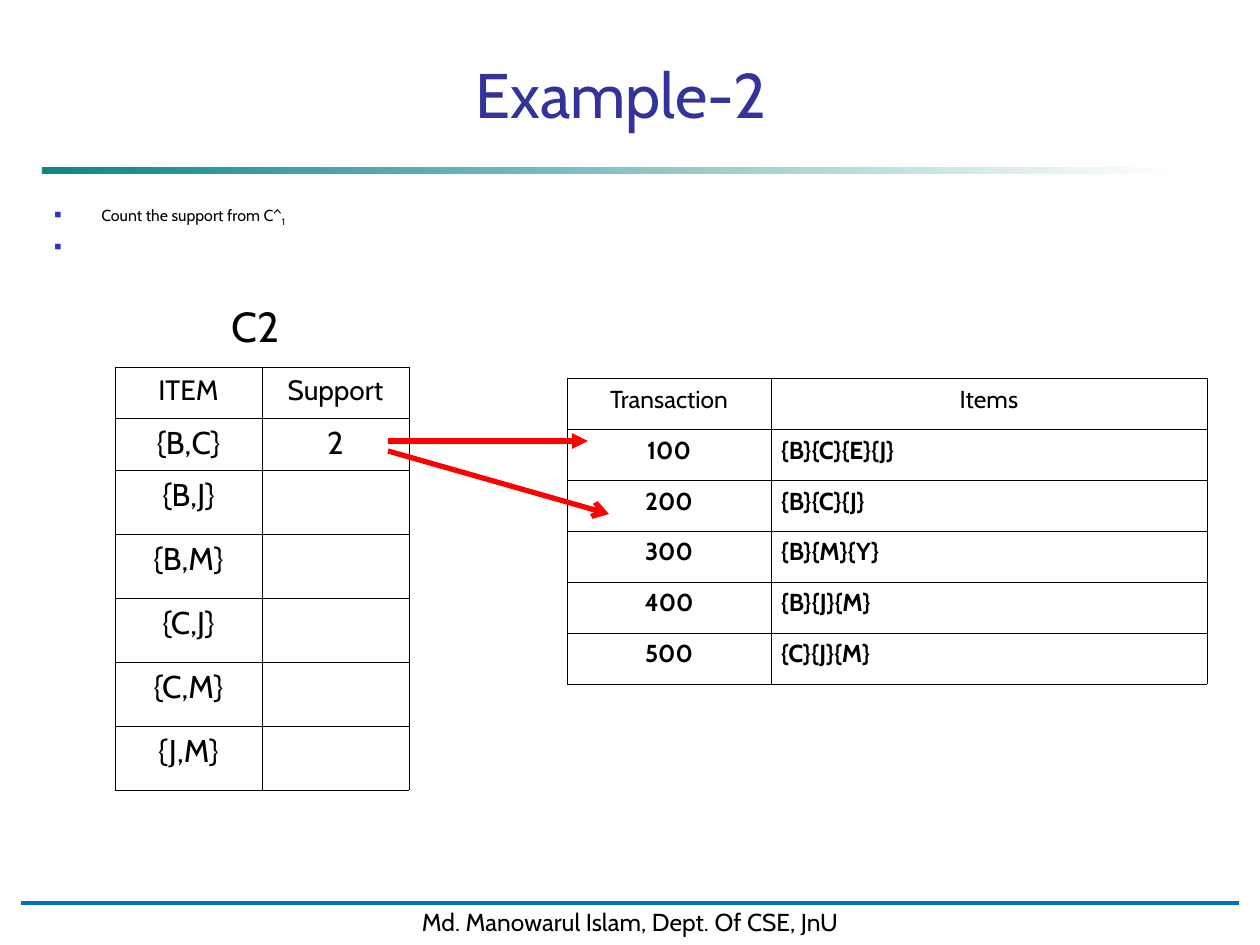
from lxml import etree
from pptx import Presentation
from pptx.dml.color import RGBColor
from pptx.enum.shapes import MSO_CONNECTOR, MSO_SHAPE
from pptx.enum.text import MSO_ANCHOR, PP_ALIGN
from pptx.oxml.ns import qn
from pptx.util import Pt

RECT = MSO_SHAPE.RECTANGLE
LINE = MSO_CONNECTOR.STRAIGHT
LEFT, CENTER = PP_ALIGN.LEFT, PP_ALIGN.CENTER
BOTTOM = MSO_ANCHOR.BOTTOM
FONT = "Cabin"
BLACK, WHITE, RED = "000000", "FFFFFF", "FF0000"
PAIRS = ["{B,J}", "{B,M}", "{C,J}", "{C,M}", "{J,M}"]
BASKETS = ["{B}{C}{E}{J}", "{B}{C}{J}", "{B}{M}{Y}", "{B}{J}{M}", "{C}{J}{M}"]


def px(n):
    """Turn px, 126 to the inch, into EMU."""
    return round(n * 914400 / 126)


def rgb(code):
    return RGBColor.from_string(code)


def sub(parent, tag, **attrs):
    return etree.SubElement(parent, qn(tag), attrs)


def style(para, size, color=BLACK, align=LEFT, bold=False):
    para.alignment = align
    for run in para.runs:
        font = run.font
        font.name, font.size, font.bold = FONT, Pt(size), bold
        font.color.rgb = rgb(color)


def add_title(slide, text):
    title = slide.shapes.title
    title.left, title.top, title.width, title.height = map(px, (84, 53, 1074, 84))
    frame = title.text_frame
    frame.text = text
    frame.vertical_anchor = BOTTOM
    style(frame.paragraphs[0], 36, "333399", CENTER)


def add_box(slide, x, y, w, h, wrap=True):
    frame = slide.shapes.add_textbox(px(x), px(y), px(w), px(h)).text_frame
    frame.word_wrap = wrap
    return frame


def add_rect(slide, x, y, w, h):
    rect = slide.shapes.add_shape(RECT, px(x), px(y), px(w), px(h))
    rect.shadow.inherit = False
    return rect


def add_rule(slide):
    """Draw the bar under the title, fading to white."""
    rule = add_rect(slide, 42, 167, 1134, 7)
    rule.line.fill.background()
    rule.fill.gradient()
    rule.fill.gradient_angle = 0
    for stop, color in zip(rule.fill.gradient_stops, ("008080", WHITE)):
        stop.color.rgb = rgb(color)
    for node in rule._element.spPr.iter(qn("a:srgbClr")):
        sub(node, "a:alpha", val="95000")


def add_line(slide, x1, y1, x2, y2, color, width, head=None):
    line = slide.shapes.add_connector(LINE, px(x1), px(y1), px(x2), px(y2))
    line.line.color.rgb = rgb(color)
    line.line.width = Pt(width)
    if head:
        sub(line.line._get_or_add_ln(), "a:tailEnd", type=head)
    sub(line._element.spPr, "a:effectLst")


def add_footer(slide, text):
    bar = add_rect(slide, 21, 901, 1218, 42)
    bar.fill.solid()
    bar.fill.fore_color.rgb = rgb(WHITE)
    bar.line.color.rgb = rgb(WHITE)
    bar.line.width = Pt(2)
    bar.text_frame.word_wrap = False
    bar.text_frame.text = text
    style(bar.text_frame.paragraphs[0], 14, align=CENTER)
    add_line(slide, 21, 903, 1239, 903, "0070C0", 1.75)


def add_bullet(para):
    props = para._p.get_or_add_pPr()
    props.set("marL", str(px(47)))
    props.set("indent", str(-px(47)))
    sub(sub(props, "a:buClr"), "a:srgbClr", val="3333CC")
    sub(props, "a:buSzPct", val="60000")
    sub(props, "a:buChar", char="■")


def add_note(slide):
    frame = add_box(slide, 42, 199, 1155, 63)
    first, last = frame.paragraphs[0], frame.add_paragraph()
    first.text, last.text = "Count the support from C^", " "
    first.add_run().text = "1"
    last.space_before = Pt(7)
    for para in (first, last):
        add_bullet(para)
        style(para, 9.1)
    first.runs[1].font._element.set("baseline", "-25000")


def add_borders(cell):
    props = cell._tc.get_or_add_tcPr()
    for side in "LRTB":
        edge = sub(props, f"a:ln{side}", w=str(Pt(0.45)))
        sub(sub(edge, "a:solidFill"), "a:srgbClr", val=BLACK)


def add_grid(slide, x, y, cols, heights, rows):
    """Add a bordered table and return it."""
    frame = slide.shapes.add_table(len(rows), len(cols), px(x), px(y),
                                   px(sum(cols)), px(sum(heights)))
    grid = frame.table
    grid.first_row = grid.horz_banding = False
    for col, width in zip(grid.columns, cols):
        col.width = px(width)
    for row, height, texts in zip(grid.rows, heights, rows):
        row.height = px(height)
        for cell, text in zip(row.cells, texts):
            add_borders(cell)
            cell.fill.background()
            cell.text = text
    return grid


def add_counts(slide):
    rows = [("ITEM", "Support"), ("{B,C}", "2")] + [(pair, "") for pair in PAIRS]
    grid = add_grid(slide, 115, 367, (147, 147), [51, 52] + [64] * len(PAIRS), rows)
    for i, row in enumerate(grid.rows):
        for cell in row.cells:
            style(cell.text_frame.paragraphs[0], 18 if i else 16, align=CENTER)


def add_baskets(slide):
    rows = [("Transaction", "Items")]
    rows += [(str(100 * n), items) for n, items in enumerate(BASKETS, 1)]
    grid = add_grid(slide, 567, 378, (204, 436), [51] * len(rows), rows)
    for i, row in enumerate(grid.rows):
        for j, cell in enumerate(row.cells):
            align = LEFT if i and j else CENTER
            style(cell.text_frame.paragraphs[0], 14, align=align, bold=i > 0)
            if i:
                cell.margin_left = cell.margin_right = px(10)


def main():
    deck = Presentation()
    deck.slide_width, deck.slide_height = px(1260), px(945)
    slide = deck.slides.add_slide(deck.slide_layouts[5])
    add_rule(slide)
    add_footer(slide, "Md. Manowarul Islam, Dept. Of CSE, JnU")
    add_title(slide, "Example-2")
    add_note(slide)
    add_counts(slide)
    add_baskets(slide)
    add_line(slide, 388, 441, 588, 441, RED, 3, "triangle")
    add_line(slide, 388, 451, 609, 514, RED, 3, "arrow")
    label = add_box(slide, 219, 294, 76, 63, wrap=False)
    label.text = "C2"
    style(label.paragraphs[0], 24)
    deck.save("out.pptx")


if __name__ == "__main__":
    main()
